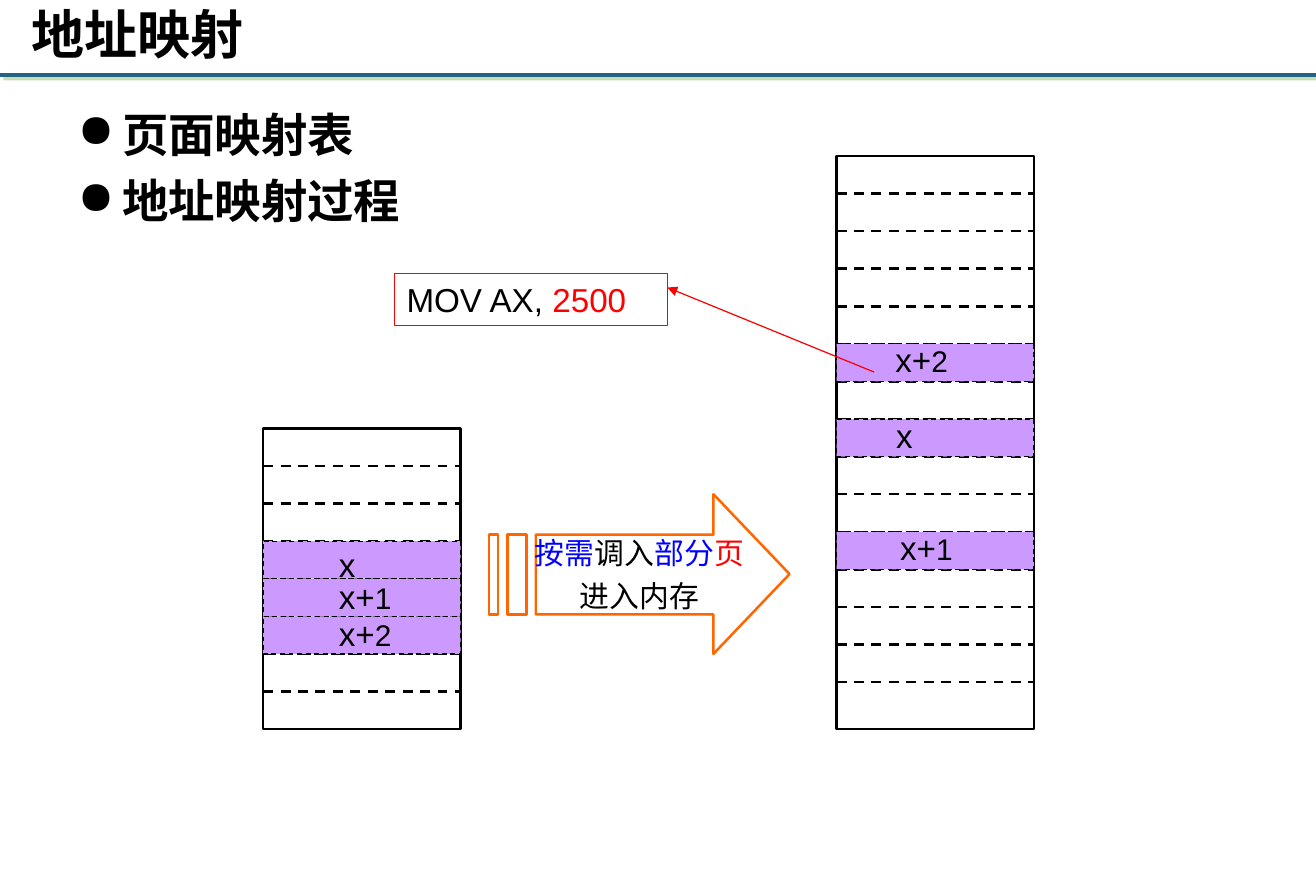
from lxml import etree
from pptx import Presentation
from pptx.dml.color import RGBColor
from pptx.enum.dml import MSO_LINE
from pptx.enum.shapes import MSO_CONNECTOR, MSO_SHAPE
from pptx.enum.text import MSO_ANCHOR, PP_ALIGN
from pptx.oxml import parse_xml
from pptx.oxml.ns import nsdecls, qn
from pptx.util import Cm, Pt

BLACK = RGBColor(0x00, 0x00, 0x00)
RED = RGBColor(0xFF, 0x00, 0x00)
BLUE = RGBColor(0x00, 0x00, 0xFF)
ORANGE = RGBColor(0xFF, 0x66, 0x00)
PURPLE = RGBColor(0xCC, 0x99, 0xFF)
TEAL = RGBColor(0x23, 0x64, 0x85)

prs = Presentation()
prs.slide_width, prs.slide_height = Cm(28), Cm(19.05)
slide = prs.slides.add_slide(prs.slide_layouts[5])
shapes = slide.shapes


def add_line(x1, y1, x2, y2, color, weight):
    line = shapes.add_connector(MSO_CONNECTOR.STRAIGHT, Cm(x1), Cm(y1), Cm(x2), Cm(y2))
    line.line.color.rgb = color
    line.line.width = Pt(weight)
    etree.SubElement(line._element.spPr, qn("a:effectLst"))
    return line


def add_runs(paragraph, parts, font_name):
    for text, size, color in parts:
        run = paragraph.add_run()
        run.text = text
        run.font.name = font_name
        run.font.size = Pt(size)
        run.font.color.rgb = color


# Rule under the title, with a soft green shadow
title_rule = add_line(0, 1.6, 28, 1.6, TEAL, 2.25)
title_rule._element.spPr.find(qn("a:effectLst")).append(parse_xml(
    f'<a:outerShdw {nsdecls("a")} dist="35560" dir="2700000" algn="ctr" rotWithShape="0">'
    '<a:srgbClr val="90C060"><a:alpha val="50000"/></a:srgbClr></a:outerShdw>'))

# Title
title = shapes.title
title.left, title.top, title.width, title.height = Cm(0.41), Cm(-0.1), Cm(14.6), Cm(1.6)
title.text_frame.text = "地址映射"
title.text_frame.vertical_anchor = MSO_ANCHOR.MIDDLE
heading = title.text_frame.paragraphs[0]
heading.alignment = PP_ALIGN.LEFT
heading.font.name = "Arial"
heading.font.size = Pt(32)
heading.font.bold = True
heading.font.color.rgb = BLACK

# Topics
topics = shapes.add_textbox(Cm(1.4), Cm(2.13), Cm(25.2), Cm(14.88)).text_frame
topics.word_wrap = True
topics.text = "页面映射表\n地址映射过程"
for topic in topics.paragraphs:
    props = topic._p.get_or_add_pPr()
    props.set("marL", str(Cm(0.95)))
    props.set("indent", str(Cm(-0.95)))
    etree.SubElement(props, qn("a:buChar")).set("char", "●")
    topic.font.name = "Arial"
    topic.font.size = Pt(28)
    topic.font.bold = True
    topic.font.color.rgb = BLACK
topics.paragraphs[1].space_before = Pt(6.5)

# Page stacks: left, top, height, row count, filled rows
ROW, STACK_WIDTH = 0.8, 4.2
program = (5.6, 9.12, 6.4, 8, (3, 4, 5))
memory = (17.8, 3.32, 12.2, 15, (5, 7, 10))
for left, top, height, rows, _ in (program, memory):
    stack = shapes.add_shape(MSO_SHAPE.RECTANGLE, Cm(left), Cm(top), Cm(STACK_WIDTH), Cm(height))
    stack.shadow.inherit = False
    stack.fill.background()
    stack.line.color.rgb = BLACK
    stack.line.width = Pt(1.5)
    for row in range(1, rows):
        y = top + row * ROW
        divider = add_line(left, y, left + STACK_WIDTH, y, BLACK, 1.5)
        divider.line.dash_style = MSO_LINE.DASH

# Striped arrow from program to memory
arrow_outlines = [
    [(15.18, 10.52), (15.18, 11.38), (11.4, 11.38), (11.4, 13.08),
     (15.18, 13.08), (15.18, 13.92), (16.8, 12.22)],
    [(10.8, 11.38), (10.8, 13.08), (11.2, 13.08), (11.2, 11.38)],
    [(10.41, 11.38), (10.41, 13.08), (10.6, 13.08), (10.6, 11.38)],
]
outlines = [[(Cm(x), Cm(y)) for x, y in outline] for outline in arrow_outlines]
builder = shapes.build_freeform(*outlines[0][0])
builder.add_line_segments(outlines[0][1:])
for stripe in outlines[1:]:
    builder.move_to(*stripe[0])
    builder.add_line_segments(stripe[1:])
load_arrow = builder.convert_to_shape()
load_arrow.shadow.inherit = False
load_arrow.fill.background()
load_arrow.line.color.rgb = ORANGE
load_arrow.line.width = Pt(1.5)
caption = load_arrow.text_frame
caption.word_wrap = False
caption.vertical_anchor = MSO_ANCHOR.MIDDLE
add_runs(caption.paragraphs[0],
         [("按需", 18, BLUE), ("调入", 18, BLACK), ("部分", 18, BLUE), ("页", 18, RED)],
         "Times New Roman")
add_runs(caption.add_paragraph(), [("进入内存", 18, BLACK)], "Times New Roman")
for caption_line in caption.paragraphs:
    caption_line.alignment = PP_ALIGN.CENTER
caption.paragraphs[1].space_before = Pt(4.2)

# Filled pages
for left, top, _, _, filled in (program, memory):
    for row in filled:
        page = shapes.add_shape(MSO_SHAPE.RECTANGLE, Cm(left), Cm(top + row * ROW),
                                Cm(STACK_WIDTH), Cm(ROW))
        page.shadow.inherit = False
        page.fill.solid()
        page.fill.fore_color.rgb = PURPLE
        page.line.color.rgb = BLACK
        page.line.width = Pt(0.75)
        page.line.dash_style = MSO_LINE.DASH

# Page labels: left, top, name, offset digit
page_labels = [
    (6.96, 11.46, "x", ""), (6.96, 12.14, "x+", "1"), (6.96, 12.93, "x+", "2"),
    (18.82, 8.71, "x", ""), (18.9, 11.1, "x+", "1"), (18.8, 7.09, "x+", "2"),
]
for left, top, name, digit in page_labels:
    label = shapes.add_textbox(Cm(left), Cm(top), Cm(1.7 if digit else 1), Cm(1.1)).text_frame
    label.word_wrap = True
    parts = [(name, 20, BLACK)]
    if digit:
        parts.append((digit, 18, BLACK))
    add_runs(label.paragraphs[0], parts, "Arial")

# Instruction held in page x+2
pointer = add_line(18.6, 7.92, 14.2, 6.12, RED, 0.75)
etree.SubElement(pointer.line._get_or_add_ln(), qn("a:tailEnd")).set("type", "triangle")
instruction = shapes.add_shape(MSO_SHAPE.RECTANGLE, Cm(8.4), Cm(5.82), Cm(5.8), Cm(1.11))
instruction.shadow.inherit = False
instruction.fill.background()
instruction.line.color.rgb = RED
instruction.line.width = Pt(0.75)
instruction.text_frame.word_wrap = True
instruction.text_frame.paragraphs[0].alignment = PP_ALIGN.LEFT
add_runs(instruction.text_frame.paragraphs[0],
         [("MOV AX, ", 20, BLACK), ("2500", 20, RED)], "Arial")

prs.save("out.pptx")
